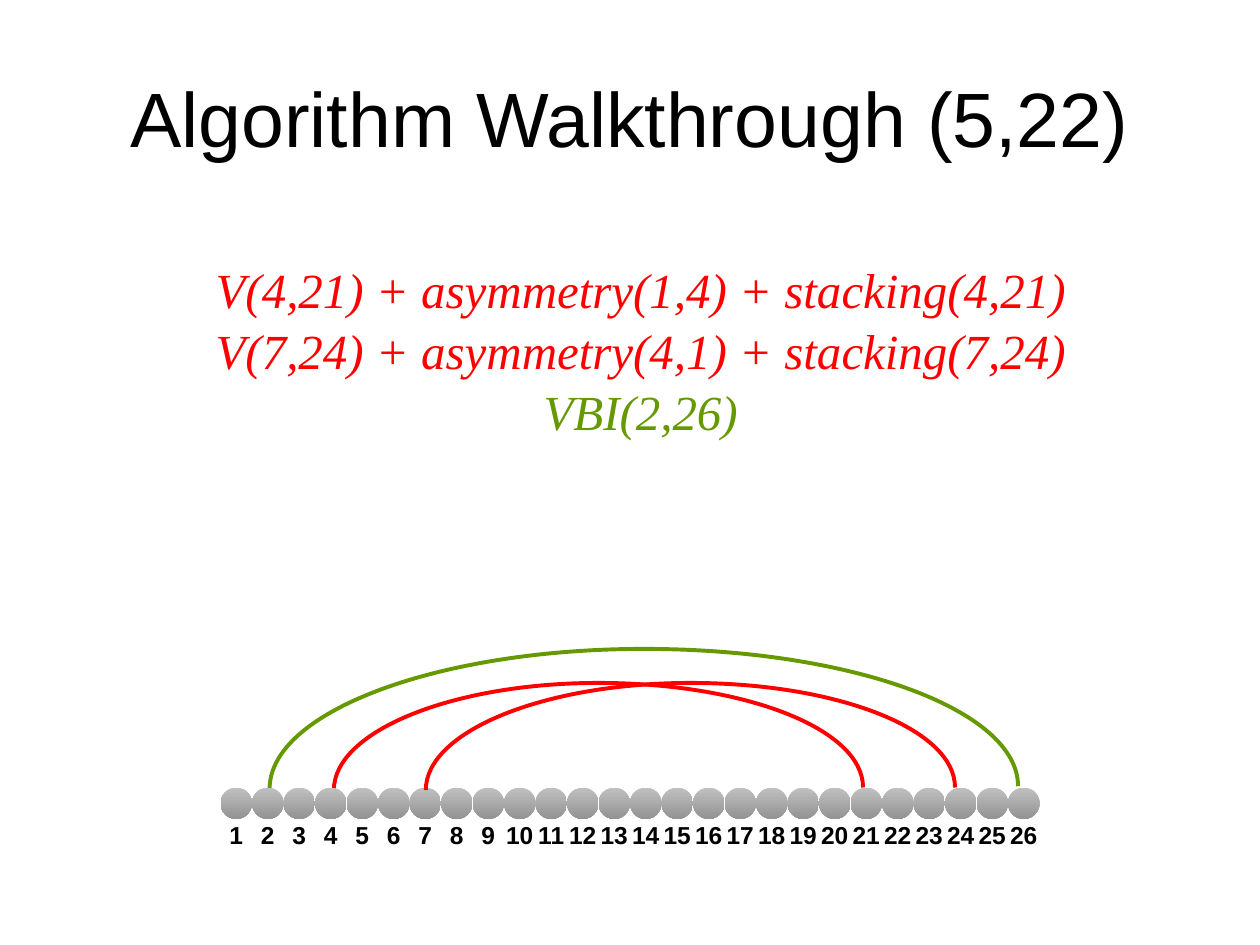
from lxml.etree import SubElement
from pptx import Presentation
from pptx.dml.color import RGBColor
from pptx.enum.shapes import MSO_SHAPE
from pptx.enum.text import MSO_ANCHOR, PP_ALIGN
from pptx.oxml.ns import qn
from pptx.util import Inches, Pt

COLORS = {
    "text": "000000",
    "candidate": "FF0000",
    "best": "669900",
    "bead_top": "C0C0C0",
    "bead_bottom": "939393",
}
BEAD_SIZE = 0.25
STRAND_LEFT = 1.75
STRAND_TOP = 6.25
KAPPA = 0.55


class WalkthroughSlide:
    """Holds the style and the current slide, and adds each kind of element."""

    def __init__(self, slide):
        self.slide = slide

    def color(self, name):
        return RGBColor.from_string(COLORS[name])

    def add_text(self, paragraph, text, size, font="Arial", color="text", bold=False, italic=False):
        paragraph.alignment = PP_ALIGN.CENTER
        run = paragraph.add_run()
        run.text = text
        run.font.name = font
        run.font.size = Pt(size)
        run.font.bold = bold
        run.font.italic = italic
        run.font.color.rgb = self.color(color)

    def title(self, text):
        heading = self.slide.shapes.title
        heading.left, heading.top = Inches(0.5), Inches(0.3)
        heading.width, heading.height = Inches(9), Inches(1.25)
        heading.text_frame.vertical_anchor = MSO_ANCHOR.MIDDLE
        self.add_text(heading.text_frame.paragraphs[0], text, 44)

    def arc(self, left, right, top, base, color):
        middle = (left + right) / 2
        reach = (right - left) / 2 * KAPPA
        rise = (base - top) * KAPPA
        end = base - 0.02
        points = [
            (left, base - rise), (middle - reach, top), (middle, top),
            (middle + reach, top), (right, end - rise), (right, end),
        ]
        builder = self.slide.shapes.build_freeform(Inches(left), Inches(base))
        builder.add_line_segments([(Inches(x), Inches(y)) for x, y in points], close=False)
        arc = builder.convert_to_shape()
        outline = arc.element.find(".//" + qn("a:path"))
        segments = outline.findall(qn("a:lnTo"))
        for start in range(0, len(segments), 3):
            curve = SubElement(outline, qn("a:cubicBezTo"))
            for segment in segments[start:start + 3]:
                curve.append(segment[0])
                outline.remove(segment)
        arc.shadow.inherit = False
        arc.fill.background()
        arc.line.color.rgb = self.color(color)
        arc.line.width = Pt(2.25)

    def circle(self, group, left, top):
        circle = group.shapes.add_shape(
            MSO_SHAPE.OVAL, Inches(left), Inches(top), Inches(BEAD_SIZE), Inches(BEAD_SIZE))
        circle.shadow.inherit = False
        circle.line.fill.background()
        return circle

    def bead(self, group, left, top):
        fill = self.circle(group, left, top).fill
        fill.gradient()
        fill.gradient_angle = 270
        for stop, name in zip(fill.gradient_stops, ("bead_top", "bead_bottom")):
            stop.color.rgb = self.color(name)

    def label(self, group, left, top, text):
        label = self.circle(group, left, top)
        label.fill.background()
        label.text_frame.word_wrap = False
        label.text_frame.vertical_anchor = MSO_ANCHOR.MIDDLE
        self.add_text(label.text_frame.paragraphs[0], text, 14, bold=True)

    def strand(self, count):
        group = self.slide.shapes.add_group_shape()
        for index in range(count):
            left = STRAND_LEFT + index * BEAD_SIZE
            self.bead(group, left, STRAND_TOP)
            self.label(group, left, STRAND_TOP + BEAD_SIZE, str(index + 1))

    def formulas(self, lines):
        frame = self.slide.shapes.add_textbox(
            Inches(0.5), Inches(1.67), Inches(9.17), Inches(2.1)).text_frame
        frame.word_wrap = True
        frame.margin_top = Inches(0.39)
        for index, (text, color) in enumerate(lines):
            paragraph = frame.add_paragraph() if index else frame.paragraphs[0]
            if index:
                paragraph.space_before = Pt(1.25)
            self.add_text(paragraph, text, 28, "Times New Roman", color, italic=True)


def main():
    deck = Presentation()
    deck.slide_width, deck.slide_height = Inches(10), Inches(7.5)
    walkthrough = WalkthroughSlide(deck.slides.add_slide(deck.slide_layouts[5]))
    walkthrough.title("Algorithm Walkthrough (5,22)")
    walkthrough.arc(2.14, 8.08, 5.15, 6.26, "best")
    walkthrough.arc(2.65, 6.85, 5.42, 6.27, "candidate")
    walkthrough.strand(26)
    walkthrough.formulas([
        ("V(4,21) + asymmetry(1,4) + stacking(4,21)", "candidate"),
        ("V(7,24) + asymmetry(4,1) + stacking(7,24)", "candidate"),
        ("VBI(2,26)", "best"),
    ])
    walkthrough.arc(3.38, 7.58, 5.42, 6.27, "candidate")
    deck.save("out.pptx")


if __name__ == "__main__":
    main()
